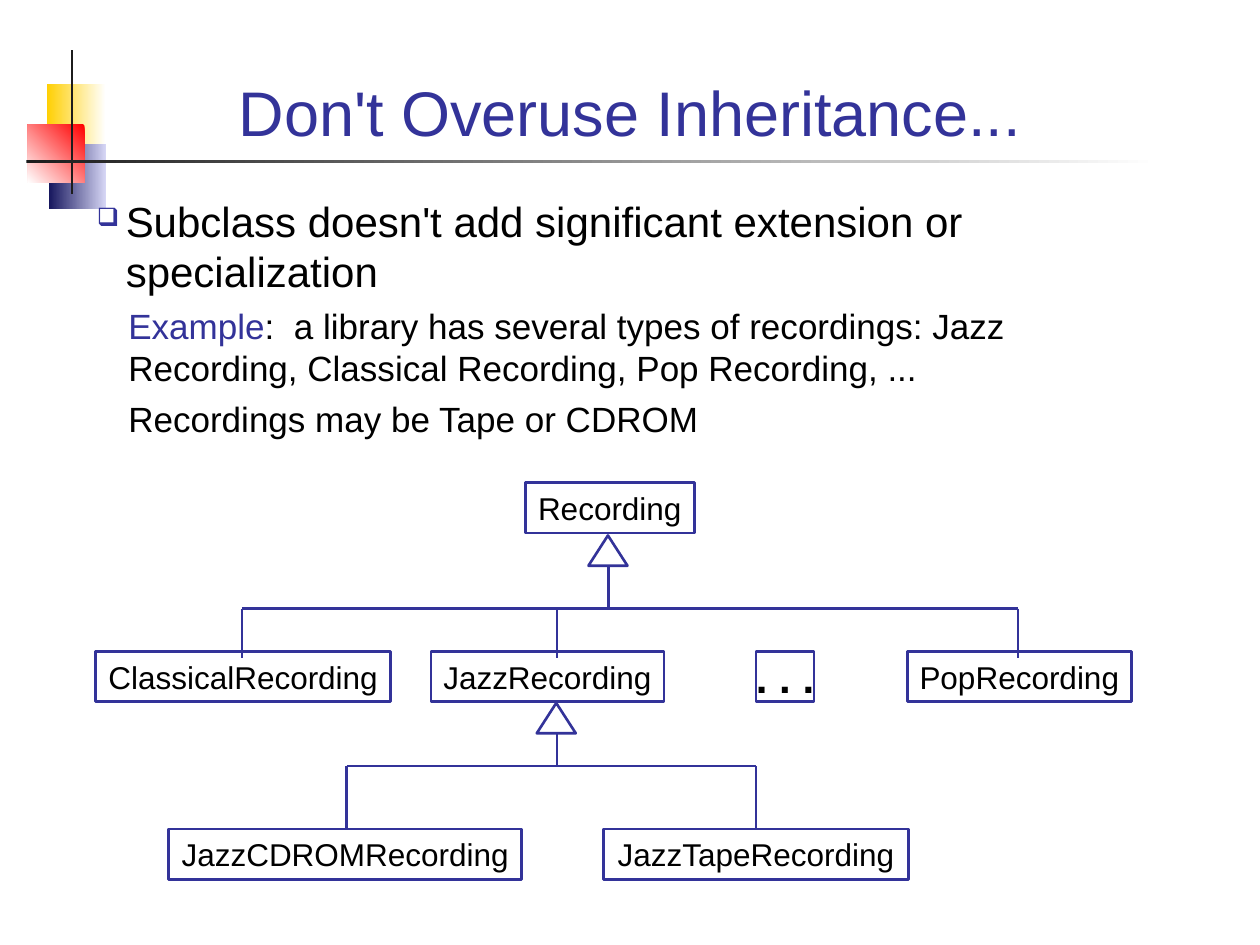
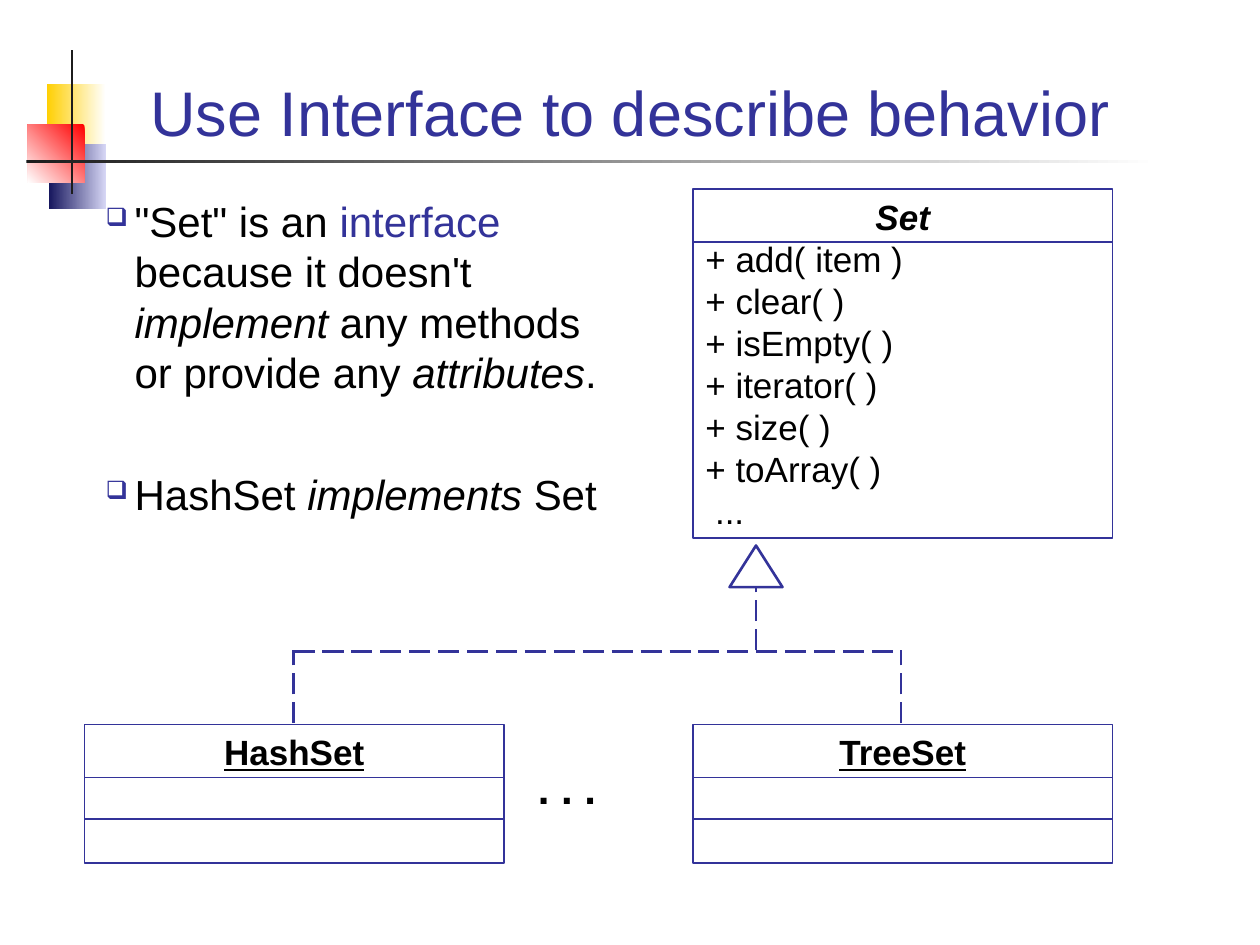
from lxml import etree
from pptx import Presentation, util as u
from pptx.dml.color import RGBColor
from pptx.enum import dml, shapes, text
from pptx.oxml.ns import qn

PX = 9144  # 100 px to the inch
NAVY, BLACK, WHITE, INK = "333399", "000000", "FFFFFF", "1C1C1C"
FONT = "Arial"
rgb = RGBColor.from_string
RECT, TRIANGLE = shapes.MSO_SHAPE.RECTANGLE, shapes.MSO_SHAPE.ISOSCELES_TRIANGLE
CENTER, LEFT = text.PP_ALIGN.CENTER, text.PP_ALIGN.LEFT


def box(s, at, paras=(), size=18, color=BLACK, align=LEFT, edge=0, kind=RECT,
        fill=None, wrap=True, inset=(10, 5), anchor=text.MSO_ANCHOR.TOP):
    """Each paragraph is a dict: runs of (text, style), with style letters b, i, u, n (navy)."""
    at = [v * PX for v in at]
    if edge:
        sp = s.shapes.add_shape(kind, *at)
        sp.shadow.inherit = False
        sp.line.color.rgb = rgb(NAVY)
        sp.line.width = u.Pt(edge)
        if fill:
            sp.fill.solid()
            sp.fill.fore_color.rgb = rgb(fill)
        else:
            sp.fill.background()
    else:
        sp = s.shapes.add_textbox(*at)
    tf = sp.text_frame
    tf.word_wrap = wrap
    tf.vertical_anchor = anchor
    tf.margin_left = tf.margin_right = inset[0] * PX
    tf.margin_top = tf.margin_bottom = inset[1] * PX
    for i, para in enumerate(paras):
        p = tf.add_paragraph() if i else tf.paragraphs[0]
        pt = para.get("size", size)
        p.alignment = para.get("align", align)
        p.line_spacing = u.Pt(round(pt * 1.2, 1))
        p.space_before = u.Pt(para.get("before", 0))
        pPr = p._p.get_or_add_pPr()
        pPr.set("marL", str(para.get("left", 0) * PX))
        if para.get("bullet"):
            pPr.set("indent", str(-para["left"] * PX))
            clr = etree.SubElement(pPr, qn("a:buClr"))
            etree.SubElement(clr, qn("a:srgbClr"), val=NAVY)
            etree.SubElement(pPr, qn("a:buSzPct"), val="60000")
            etree.SubElement(pPr, qn("a:buChar"), char="❑")
        for words, style in para["runs"]:
            r = p.add_run()
            r.text = words
            f = r.font
            f.name, f.size = FONT, u.Pt(pt)
            f.bold, f.italic, f.underline = "b" in style, "i" in style, "u" in style
            f.color.rgb = rgb(NAVY if "n" in style else color)
    return sp


def line(s, x1, y1, x2, y2, width=1.5, dash=None):
    c = s.shapes.add_connector(shapes.MSO_CONNECTOR.STRAIGHT,
                               x1 * PX, y1 * PX, x2 * PX, y2 * PX)
    c.line.color.rgb = rgb(NAVY)
    c.line.width = u.Pt(width)
    if dash:
        c.line.dash_style = dash
    etree.SubElement(c._element.spPr, qn("a:effectLst"))


prs = Presentation()
prs.slide_width, prs.slide_height = 1000 * PX, 750 * PX

# Shared decoration and titles: place, start colour, end colour, angle
decor = [((37, 67, 47, 52), "FFCF01", WHITE, 0),
         ((39, 114, 45, 52), "17175E", "D6D6F5", 0),
         ((22, 99, 45, 46), "FF0000", WHITE, 225),
         ((56, 40, 2, 114), INK, INK, 0),
         ((21, 127, 898, 2), INK, WHITE, 0)]
slides = []
for title in ("Don't Overuse Inheritance...", "Use Interface to describe behavior"):
    s = prs.slides.add_slide(prs.slide_layouts[6])
    for at, start, end, angle in decor:
        sp = s.shapes.add_shape(RECT, *[v * PX for v in at])
        sp.shadow.inherit = False
        sp.line.fill.background()
        sp.fill.gradient()
        sp.fill.gradient_angle = angle
        for stop, color in zip(sp.fill.gradient_stops, (start, end)):
            stop.color.rgb = rgb(color)
    box(s, (67, 28, 866, 95), [dict(runs=[(title, "")])], size=36, color=NAVY,
        align=CENTER, anchor=text.MSO_ANCHOR.BOTTOM)
    slides.append(s)

# Slide 1: text
s = slides[0]
box(s, (67, 150, 866, 220), [
    dict(runs=[("Subclass doesn't add significant extension or specialization", "")],
         size=24, left=23, bullet=True),
    dict(runs=[("Example", "n"),
               (":  a library has several types of recordings: Jazz Recording, "
                "Classical Recording, Pop Recording, ...", "")], before=5, left=25),
    dict(runs=[("Recordings may be Tape or CDROM", "")], before=5, left=25),
], size=20)

# Slide 1: inheritance trees (stem x, parent bottom, bar y, child bottom, child xs)
for stem, top, bar, end, children in [(483, 425, 483, 522, (192, 442, 808)),
                                      (442, 558, 608, 658, (275, 600))]:
    line(s, stem, top, stem, bar)
    box(s, (stem - 16, top, 31, 24), edge=1.5, kind=TRIANGLE, fill=WHITE)
    line(s, children[0], bar, children[-1], bar)
    for x in children:
        line(s, x, bar, x, end)

# Slide 1: classes
for name, x, y, w in [("Recording", 417, 383, 134), ("ClassicalRecording", 76, 517, 234),
                      ("JazzRecording", 342, 517, 185), ("PopRecording", 720, 517, 178),
                      ("JazzCDROMRecording", 134, 658, 280),
                      ("JazzTapeRecording", 479, 658, 242)]:
    box(s, (x, y, w, 40), [dict(runs=[(name, "")])], align=CENTER, edge=1.5, wrap=False)
dots = [dict(runs=[(". . .", "b")], size=24)]
box(s, (600, 517, 46, 40), dots, edge=1.5, wrap=False, inset=(0, 0))

# Slide 2: text
s = slides[1]
box(s, (74, 150, 426, 292), [
    dict(runs=[('"Set" is an ', ""), ("interface", "n"), (" because it doesn't ", ""),
               ("implement", "i"), (" any methods or provide any ", ""),
               ("attributes", "i"), (".", "")], left=23, bullet=True),
    dict(runs=[("HashSet ", ""), ("implements ", "i"), ("Set", "")],
         before=41, left=23, bullet=True),
], size=24)

# Slide 2: classes, each with its dividers
methods = ["+ add( item )", "+ clear( )", "+ isEmpty( )", "+ iterator( )",
           "+ size( )", "+ toArray( )", " ..."]
for name, style, x, y, h, members, dividers in [
        ("Set", "bi", 550, 150, 277, methods, (42,)),
        ("HashSet", "bu", 67, 575, 110, [], (42, 75)),
        ("TreeSet", "bu", 550, 575, 110, [], (42, 75))]:
    paras = [dict(runs=[(name, style)], align=CENTER)]
    paras += [dict(runs=[(m, "")]) for m in members]
    box(s, (x, y, 333, h), paras, size=20, edge=0.75)
    for dy in dividers:
        line(s, x, y + dy, x + 333, y + dy, width=0.75)
box(s, (417, 600, 125, 50), dots)

# Slide 2: dashed realization arrow
box(s, (579, 433, 42, 33), edge=1.5, kind=TRIANGLE)
for ends in [(600, 516, 600, 467), (233, 574, 233, 516),
             (233, 517, 715, 517), (715, 574, 715, 516)]:
    line(s, *ends, dash=dml.MSO_LINE.LONG_DASH)

prs.save("out.pptx")
